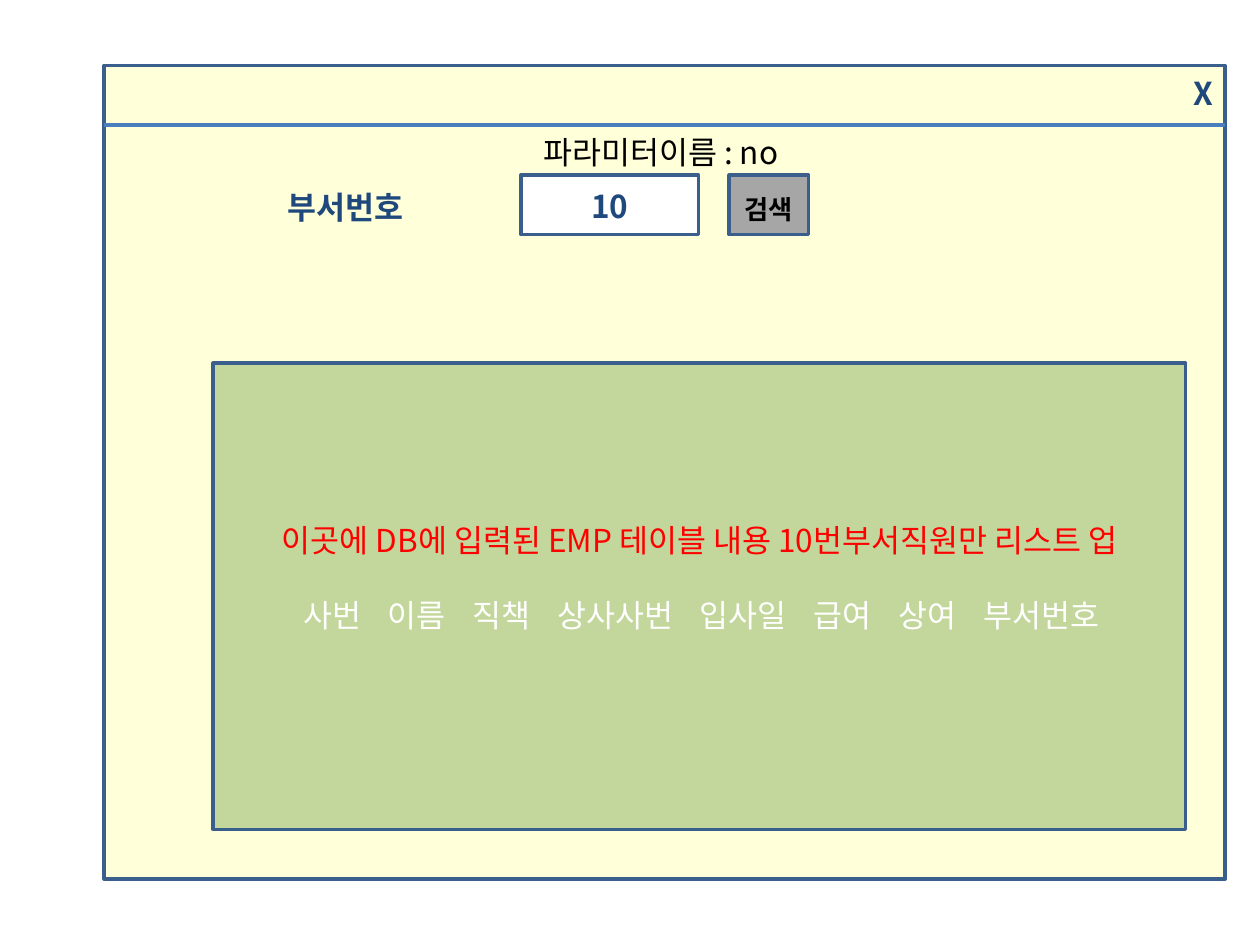
import pptx
import pptx.util
import pptx.dml.color
import pptx.enum.shapes
import pptx.enum.text
import pptx.oxml.ns
import lxml.etree

Cm = pptx.util.Cm
Pt = pptx.util.Pt
qn = pptx.oxml.ns.qn
Align = pptx.enum.text.PP_ALIGN
Anchor = pptx.enum.text.MSO_ANCHOR
Shape = pptx.enum.shapes.MSO_SHAPE

FONT = "Noto Sans CJK KR"
COLORS = {
    "window": "FFFFD9", "outline": "3A5F8C", "divider": "4B7EBC",
    "white": "FFFFFF", "button": "A6A6A6", "panel": "C3D69B",
    "navy": "1F497D", "black": "000000", "red": "FF0000",
}


def add_box(kind, left, top, width, height, fill):
    """Add an outlined, filled shape; lengths are in centimetres."""
    shape = slide.shapes.add_shape(kind, Cm(left), Cm(top), Cm(width), Cm(height))
    shape.shadow.inherit = False
    shape.fill.solid()
    shape.fill.fore_color.rgb = pptx.dml.color.RGBColor.from_string(COLORS[fill])
    shape.line.color.rgb = pptx.dml.color.RGBColor.from_string(COLORS["outline"])
    shape.line.width = Pt(2)
    return shape


def format_paragraph(paragraph, color, align=Align.CENTER, size=18, bold=False, spacing=23):
    paragraph.alignment = align
    paragraph.line_spacing = Pt(spacing)
    for run in paragraph.runs:
        run.font.size = Pt(size)
        run.font.bold = bold
        run.font.color.rgb = pptx.dml.color.RGBColor.from_string(COLORS[color])
        run.font.name = FONT
        east_asian = lxml.etree.SubElement(run.font._element, qn("a:ea"))
        east_asian.set("typeface", FONT)


presentation = pptx.Presentation()
presentation.slide_width = Cm(25.4)
presentation.slide_height = Cm(19.05)
slide = presentation.slides.add_slide(presentation.slide_layouts[6])

# Window with its close mark and the field label
window = add_box(Shape.RECTANGLE, 2.1, 1.32, 22.6, 16.4, "window")
window.text_frame.vertical_anchor = Anchor.TOP
window.text_frame.text = "X\n부서번호"
close_mark, field_label = window.text_frame.paragraphs
format_paragraph(close_mark, "navy", Align.RIGHT, bold=True)
format_paragraph(field_label, "navy", Align.LEFT, bold=True)
field_label.space_before = Pt(42)
field_label._p.get_or_add_pPr().set("marL", str(Cm(3.45)))

divider = slide.shapes.add_connector(
    pptx.enum.shapes.MSO_CONNECTOR.STRAIGHT, Cm(2.1), Cm(2.52), Cm(24.7), Cm(2.52))
divider.line.color.rgb = pptx.dml.color.RGBColor.from_string(COLORS["divider"])
divider.line.width = Pt(2)
lxml.etree.SubElement(divider._element.spPr, qn("a:effectLst"))

# Search field and button
for text, left, width, fill, color, size in [
    ("10", 10.5, 3.58, "white", "navy", 18),
    ("검색", 14.7, 1.6, "button", "black", 15),
]:
    control = add_box(Shape.RECTANGLE, left, 3.53, width, 1.2, fill)
    control.text_frame.vertical_anchor = Anchor.MIDDLE
    control.text_frame.text = text
    format_paragraph(control.text_frame.paragraphs[0], color, size=size, bold=True)

# Result panel
panel = add_box(Shape.FLOWCHART_PROCESS, 4.3, 7.32, 19.6, 9.4, "panel")
panel.text_frame.vertical_anchor = Anchor.MIDDLE
panel.text_frame.margin_bottom = Cm(1.65)
headers = ["사번", "이름", "직책", "상사사번", "입사일", "급여", "상여", "부서번호"]
panel.text_frame.text = (
    "이곳에 DB에 입력된 EMP 테이블 내용 10번부서직원만 리스트 업\n\t" + "\t".join(headers))
notice, header_row = panel.text_frame.paragraphs

# Each tab stop follows from the length of the header before it
tab_list = lxml.etree.SubElement(header_row._p.get_or_add_pPr(), qn("a:tabLst"))
position = 1.56
for header in headers:
    tab = lxml.etree.SubElement(tab_list, qn("a:tab"))
    tab.set("pos", str(Cm(position)))
    tab.set("algn", "l")
    position += 0.58 * len(header) + 0.55
format_paragraph(notice, "red", spacing=43)
format_paragraph(header_row, "white", Align.LEFT, spacing=43)

# Parameter name above the field
parameter = slide.shapes.add_textbox(Cm(10.7), Cm(2.5), Cm(5.7), Cm(1.02))
parameter.text_frame.word_wrap = False
parameter.text_frame.auto_size = pptx.enum.text.MSO_AUTO_SIZE.SHAPE_TO_FIT_TEXT
parameter.text_frame.text = "파라미터이름 : no"
format_paragraph(parameter.text_frame.paragraphs[0], "black", Align.LEFT)

presentation.save("out.pptx")
